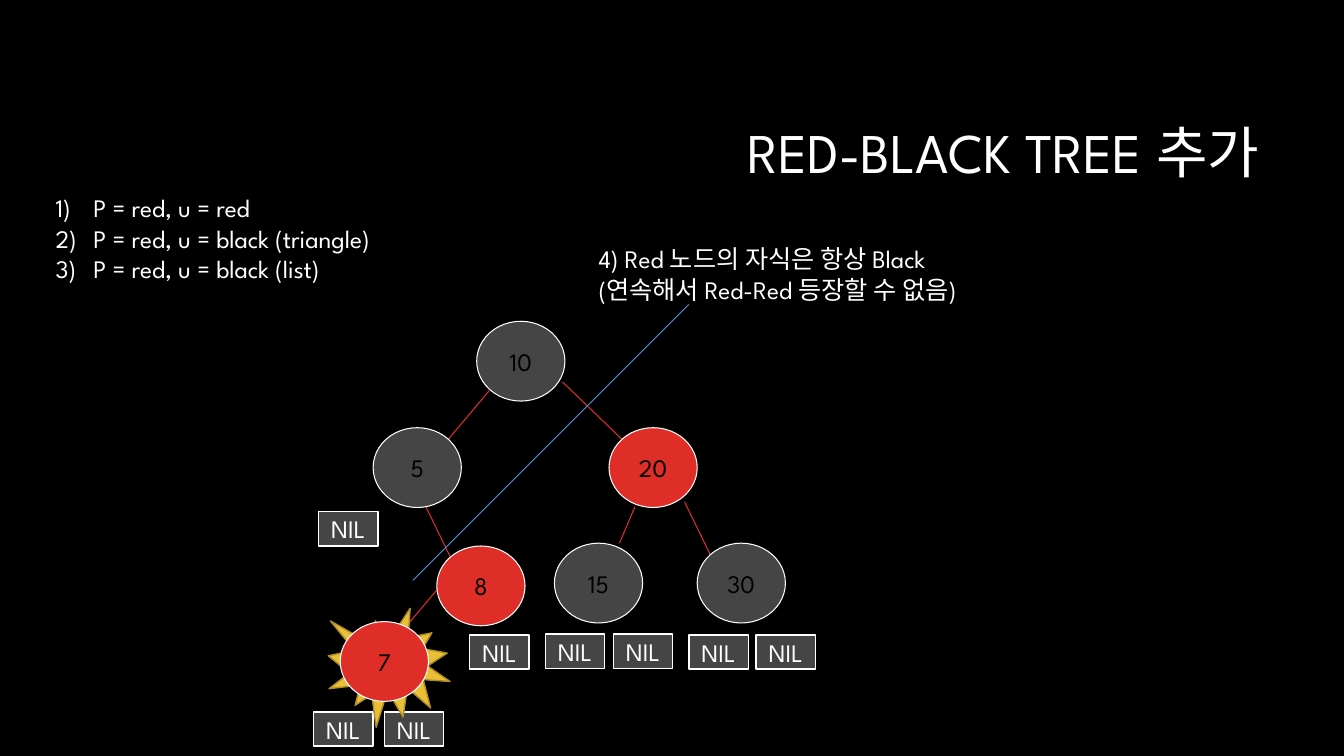
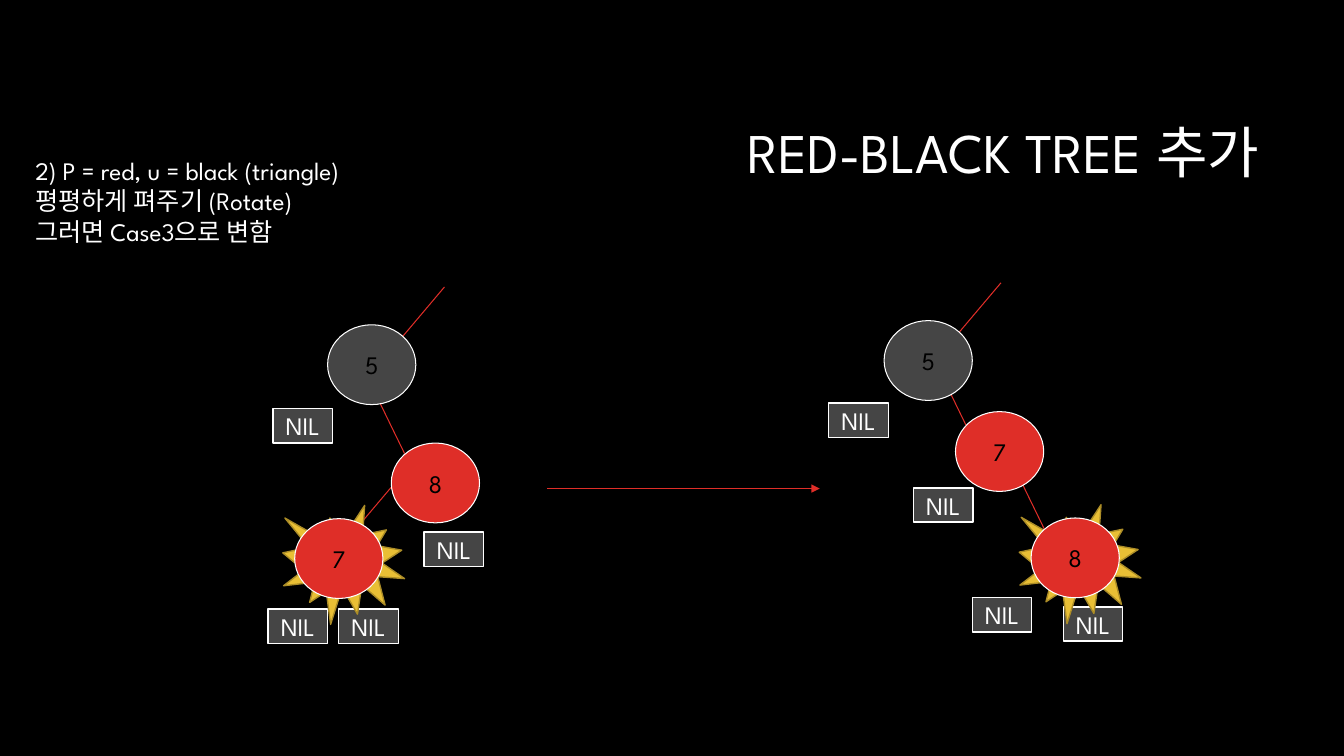
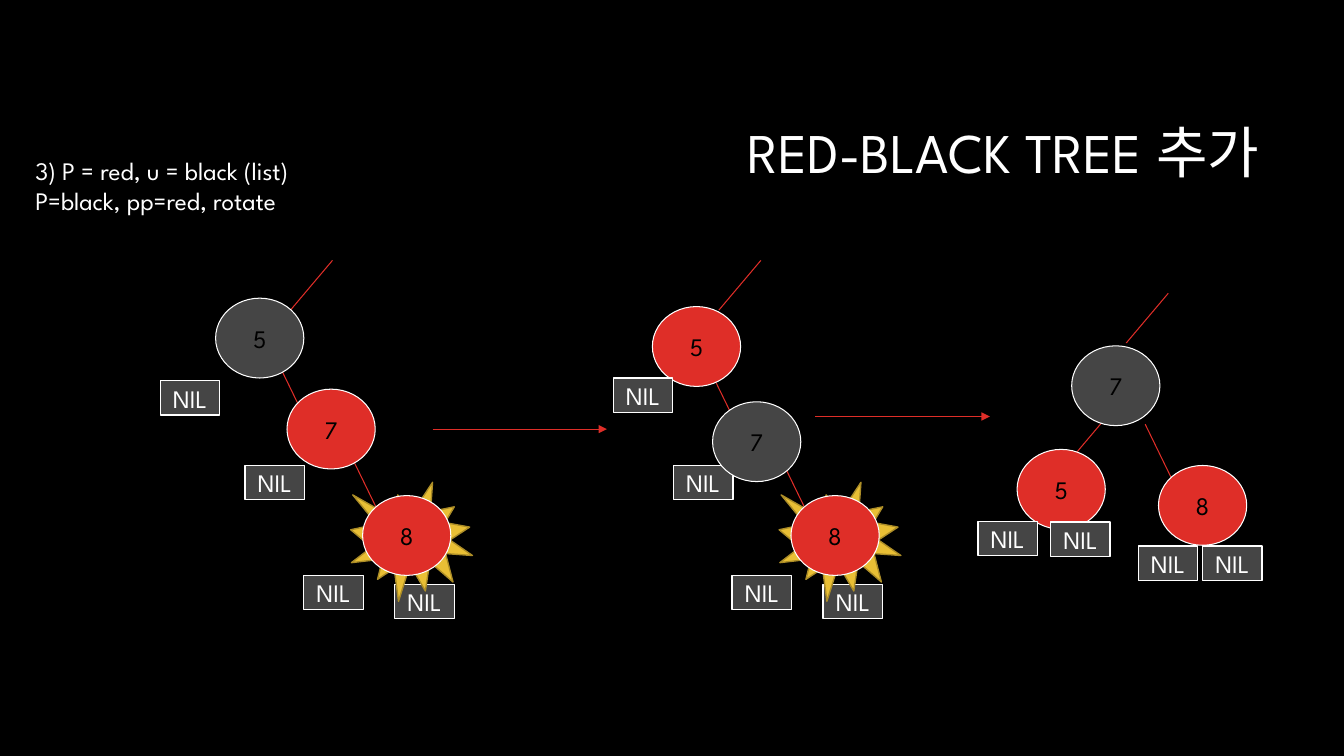
from lxml.etree import SubElement
from pptx import Presentation
from pptx.dml.color import RGBColor
from pptx.enum.shapes import MSO_CONNECTOR, MSO_SHAPE
from pptx.enum.text import MSO_ANCHOR, MSO_AUTO_SIZE, PP_ALIGN
from pptx.oxml.ns import qn
from pptx.util import Pt

FONT = "League Spartan"
TITLE = "RED-BLACK TREE 추가"
COLOURS = {
    "background": "000000",
    "text": "FFFFFF",
    "label": "000000",
    "red": "DF2E28",
    "black": "454545",
    "burst": "E9BF35",
    "burst edge": "AC8D27",
    "pointer": "4A9BDC",
}
STROKES = {
    "left": (-30, 35.5, "red"),
    "right": (18.5, 38, "red"),
    "short left": (-11, 26, "red"),
    "long right": (42.5, 41, "red"),
    "pointer": (-197, 197, "pointer"),
    "long arrow": (194.5, 0, "red"),
    "arrow": (124.5, 0, "red"),
}

upper_tree = [
    ("short left", 453.5, 362),
    ("right", 489, 358.5),
    ("long right", 402, 273),
    ("red", 435, 305.5, "20"),
    ("black", 340.5, 229.5, "10"),
    ("black", 498, 388, "30"),
    ("black", 396, 388, "15"),
    ("nil", 389.5, 453),
    ("nil", 438, 453),
    ("nil", 492, 453.5),
    ("nil", 540, 453.5),
]
triangle = [
    ("left", 83.5, -27),
    ("right", 36.5, 54),
    ("left", 51, 109.5),
    ("nil", -39, 60),
    ("nil", 69, 148),
    ("nil", -42.5, 203),
    ("nil", 8, 203),
    ("black", 0, 0, "5"),
    ("red", 45.5, 84.5, "8"),
    ("new", -23.5, 138.5, "7"),
]
chain_links = [
    ("left", 83.5, -27),
    ("right", 45.5, 48),
    ("right", 96, 111),
    ("nil", 21, 119.5),
    ("nil", 63, 198),
    ("nil", 128, 204.5),
    ("new", 105, 141, "8"),
]
chain = chain_links + [
    ("nil", -39.5, 59),
    ("black", 0, 0, "5"),
    ("red", 51, 65, "7"),
]
recoloured_chain = chain_links + [
    ("red", 6, 6, "5"),
    ("black", 49, 74, "7"),
    ("nil", -22, 57),
]
rotated = [
    ("left", 69, -37.5),
    ("left", 21, 55.5),
    ("right", 52.5, 56),
    ("black", 0, 0, "7"),
    ("red", -39, 74, "5"),
    ("red", 62, 85.5, "8"),
    ("nil", -67, 125.5),
    ("nil", -15, 126),
    ("nil", 47.5, 143),
    ("nil", 93.5, 143),
]

slides = [
    {
        "notes": ["P = red, u = red", "P = red, u = black (triangle)", "P = red, u = black (list)"],
        "notes at": (32.5, 134),
        "numbered": True,
        "callout": "4) Red 노드의 자식은 항상 Black\n(연속해서 Red-Red 등장할 수 없음)",
        "parts": [(0, 0, upper_tree), (266.5, 305.5, triangle), (492, 217.5, [("pointer", 0, 0)])],
    },
    {
        "notes": ["2) P = red, u = black (triangle)", "평평하게 펴주기 (Rotate)", "그러면 Case3으로 변함"],
        "notes at": (18, 107.5),
        "parts": [(234, 232, triangle), (391, 349, [("long arrow", 0, 0)]), (631.5, 229, chain)],
    },
    {
        "notes": ["3) P = red, u = black (list)", "P=black, pp=red, rotate"],
        "notes at": (18, 107.5),
        "parts": [
            (154, 213, chain),
            (309, 306.5, [("arrow", 0, 0)]),
            (460, 213, recoloured_chain),
            (582.5, 297.5, [("arrow", 0, 0)]),
            (765.5, 247, rotated),
        ],
    },
]


def style(paragraph, colour="text", size=18, align=PP_ALIGN.LEFT):
    paragraph.alignment = align
    paragraph.space_before = Pt(0)
    paragraph.font.name = FONT
    paragraph.font.size = Pt(size)
    paragraph.font.color.rgb = RGBColor.from_string(COLOURS[colour])


def add_figure(slide, preset, box, fill, edge, weight, label="", label_colour="label"):
    figure = slide.shapes.add_shape(preset, *map(Pt, box))
    figure.shadow.inherit = False
    figure.fill.solid()
    figure.fill.fore_color.rgb = RGBColor.from_string(COLOURS[fill])
    figure.line.color.rgb = RGBColor.from_string(COLOURS[edge])
    figure.line.width = Pt(weight)
    if label:
        figure.text_frame.text = label
        style(figure.text_frame.paragraphs[0], label_colour, align=PP_ALIGN.CENTER)


prs = Presentation()
prs.slide_width, prs.slide_height = Pt(960), Pt(540)
background = prs.slide_master.background.fill
background.solid()
background.fore_color.rgb = RGBColor.from_string(COLOURS["background"])

for content in slides:
    slide = prs.slides.add_slide(prs.slide_layouts[1])

    title = slide.shapes.title
    title.left, title.top, title.width, title.height = map(Pt, (228, 60.5, 678.5, 101.5))
    title.text_frame.text = TITLE
    title.text_frame.auto_size = MSO_AUTO_SIZE.NONE
    title.text_frame.vertical_anchor = MSO_ANCHOR.MIDDLE
    heading = title.text_frame.paragraphs[0]
    style(heading, size=40, align=PP_ALIGN.RIGHT)
    heading.line_spacing = 0.9

    notes = slide.placeholders[1]
    notes.left, notes.top = map(Pt, content["notes at"])
    notes.width, notes.height = Pt(480), Pt(73)
    notes.text_frame.text = "\n".join(content["notes"])
    notes.text_frame.auto_size = MSO_AUTO_SIZE.NONE
    for note in notes.text_frame.paragraphs:
        properties = note._p.get_or_add_pPr()
        indent = Pt(27) if content.get("numbered") else 0
        properties.set("marL", str(indent))
        properties.set("indent", str(-indent))
        if indent:
            SubElement(properties, qn("a:buFont"), typeface="+mj-lt")
            SubElement(properties, qn("a:buAutoNum"), type="arabicParenR")
        else:
            SubElement(properties, qn("a:buNone"))
        style(note)

    if "callout" in content:
        callout = slide.shapes.add_textbox(Pt(420.5), Pt(170.5), Pt(480), Pt(51))
        callout.text_frame.word_wrap = True
        rule = callout.text_frame.paragraphs[0]
        rule.text = content["callout"]
        style(rule)

    for left, top, part in content["parts"]:
        for kind, dx, dy, *label in part:
            x, y = left + dx, top + dy
            if kind in STROKES:
                run, drop, colour = STROKES[kind]
                stroke = slide.shapes.add_connector(
                    MSO_CONNECTOR.STRAIGHT, Pt(x), Pt(y), Pt(x + run), Pt(y + drop)
                )
                stroke.line.color.rgb = RGBColor.from_string(COLOURS[colour])
                stroke.line.width = Pt(0.75)
                outline = stroke.element.spPr
                if "arrow" in kind:
                    SubElement(outline.find(qn("a:ln")), qn("a:tailEnd"), type="triangle")
                SubElement(outline, qn("a:effectLst"))
            elif kind == "nil":
                add_figure(slide, MSO_SHAPE.RECTANGLE, (x, y, 42.5, 24.5), "black", "text", 1, "NIL", "text")
            else:
                if kind == "new":
                    burst = (x - 8.5, y - 9.5, 87, 85)
                    add_figure(slide, MSO_SHAPE.EXPLOSION1, burst, "burst", "burst edge", 1)
                fill = "black" if kind == "black" else "red"
                add_figure(slide, MSO_SHAPE.OVAL, (x, y, 63, 57), fill, "text", 0.75, label[0])

prs.save("out.pptx")
